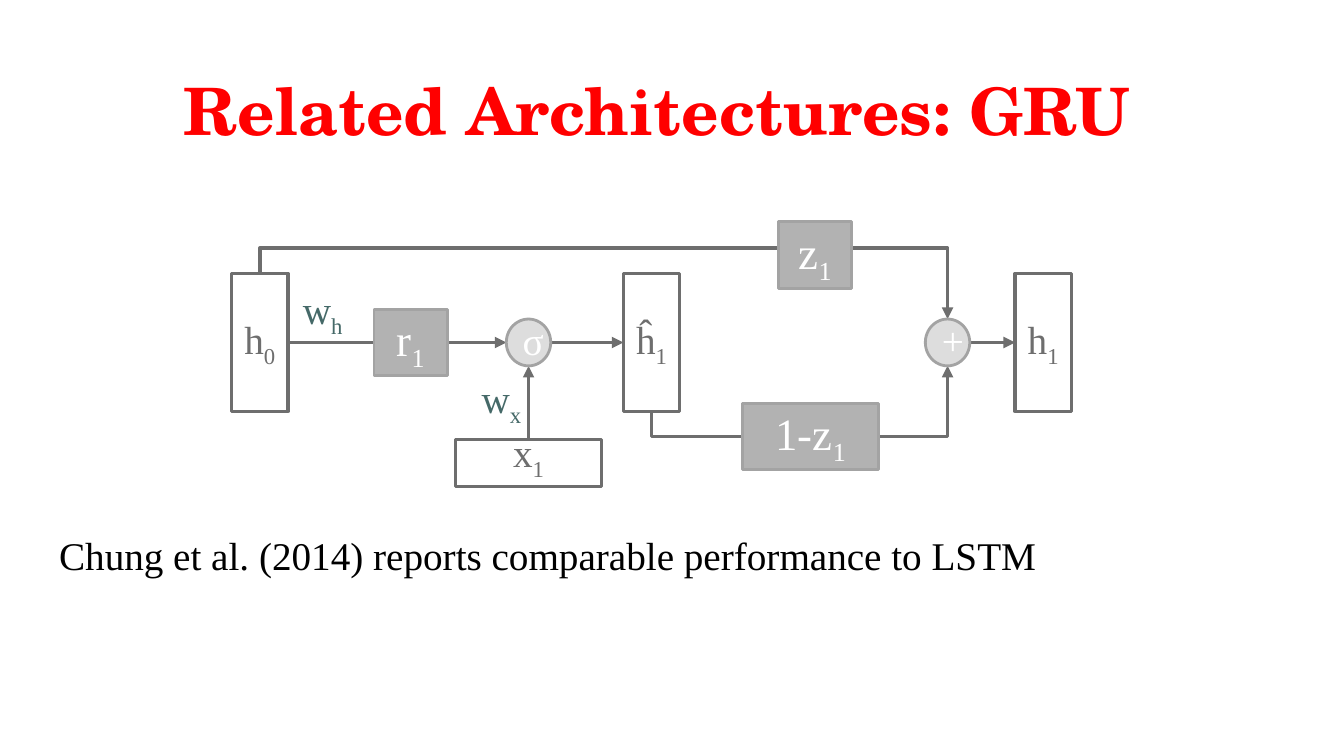
from dataclasses import dataclass

from pptx import Presentation
from pptx.dml.color import RGBColor
from pptx.enum.shapes import MSO_CONNECTOR, MSO_SHAPE
from pptx.enum.text import MSO_ANCHOR, PP_ALIGN
from pptx.oxml.ns import qn
from pptx.oxml.xmlchemy import OxmlElement
from pptx.util import Cm, Pt

RECT, OVAL = MSO_SHAPE.RECTANGLE, MSO_SHAPE.OVAL
LINE, ELBOW = MSO_CONNECTOR.STRAIGHT, MSO_CONNECTOR.ELBOW
TOP, MIDDLE, BOTTOM = MSO_ANCHOR.TOP, MSO_ANCHOR.MIDDLE, MSO_ANCHOR.BOTTOM
LEFT, CENTER = PP_ALIGN.LEFT, PP_ALIGN.CENTER

COLORS = {
    "title": "FF0000", "body": "000000", "weight": "456968",
    "white": "FFFFFF", "dark": "6E6E6E", "edge": "A3A3A3",
    "gate": "B2B2B2", "op": "DDDDDD",
}
SERIF, SCHOLA = "Times New Roman", "TeX Gyre Schola"


@dataclass
class Style:
    shape: int
    fill: str
    line: str
    weight: float
    ink: str
    size: float


@dataclass
class Node:
    style: Style
    x: float  # centre
    y: float
    w: float
    h: float
    text: str
    sub: str = ""
    anchor: int = MIDDLE


@dataclass
class Label:
    x: float
    y: float
    w: float
    h: float
    text: str
    sub: str = ""
    size: float = 28
    ink: str = "weight"
    font: str = SERIF
    bold: bool = False
    align: int = CENTER
    anchor: int = TOP


@dataclass
class Arrow:
    x1: float
    y1: float
    x2: float
    y2: float
    bent: bool = False


def color(name: str) -> RGBColor:
    return RGBColor.from_string(COLORS[name])


def write(frame, text: str, sub: str, size: float, ink: str,
          font: str = SERIF, bold: bool = False, align: int = CENTER) -> None:
    frame.word_wrap = True
    para = frame.paragraphs[0]
    para.text = text
    para.alignment = align
    if sub:
        low = para.add_run()
        low.text = sub
        low._r.get_or_add_rPr().set("baseline", "-25000")
    for run in para.runs:
        run.font.name, run.font.size = font, Pt(size)
        run.font.bold = bold
        run.font.color.rgb = color(ink)


def add_node(slide, node: Node) -> None:
    style = node.style
    shape = slide.shapes.add_shape(
        style.shape, Cm(node.x - node.w / 2), Cm(node.y - node.h / 2),
        Cm(node.w), Cm(node.h))
    shape.shadow.inherit = False
    shape.fill.solid()
    shape.fill.fore_color.rgb = color(style.fill)
    shape.line.color.rgb = color(style.line)
    shape.line.width = Pt(style.weight)
    frame = shape.text_frame
    frame.vertical_anchor = node.anchor
    if style.shape == OVAL:
        frame.margin_bottom = Cm(0.25)
    write(frame, node.text, node.sub, style.size, style.ink)


def add_label(slide, label: Label) -> None:
    box = slide.shapes.add_textbox(
        Cm(label.x), Cm(label.y), Cm(label.w), Cm(label.h))
    box.text_frame.vertical_anchor = label.anchor
    write(box.text_frame, label.text, label.sub, label.size, label.ink,
          label.font, label.bold, label.align)


def bend(link, arrow: Arrow) -> None:
    """Turn an elbow so it leaves vertically, away from its end."""
    wide, high = abs(arrow.y2 - arrow.y1), arrow.x2 - arrow.x1
    link.left = Cm((arrow.x1 + arrow.x2 - wide) / 2)
    link.top = Cm((arrow.y1 + arrow.y2 - high) / 2)
    link.width, link.height = Cm(wide), Cm(high)
    up = arrow.y2 > arrow.y1
    props = link._element.spPr
    frame = props.find(qn("a:xfrm"))
    frame.set("rot", str((270 if up else 90) * 60000))
    frame.set("flipH", "1")
    frame.set("flipV", "0" if up else "1")
    guides = props.find(qn("a:prstGeom")).get_or_add_avLst()
    guide = OxmlElement("a:gd")
    guide.set("name", "adj1")
    guide.set("fmla", "val -55000")
    guides.append(guide)


def add_arrow(slide, arrow: Arrow) -> None:
    link = slide.shapes.add_connector(
        ELBOW if arrow.bent else LINE,
        Cm(arrow.x1), Cm(arrow.y1), Cm(arrow.x2), Cm(arrow.y2))
    if arrow.bent:
        bend(link, arrow)
    link.line.color.rgb = color("dark")
    link.line.width = Pt(2.75)
    tip = OxmlElement("a:tailEnd")
    tip.set("type", "triangle")
    link.line._get_or_add_ln().append(tip)
    link._element.spPr.append(OxmlElement("a:effectLst"))


# Styles and grid
STATE = Style(RECT, "white", "dark", 2.25, "dark", 28)
GATE = Style(RECT, "gate", "edge", 2, "white", 32)
OP = Style(OVAL, "op", "edge", 2, "white", 28)

MID = 8.63
OLD, NEW, OUT = (6.55 + 9.87 * i for i in range(3))
SIGMA, PLUS = 13.32, 23.88
WIDE, TALL = 1.42, 3.48
RX, RY = 0.56, 0.59
SIDE, HEAD = WIDE / 2, TALL / 2
INPUT = 11.67

LABELS = [
    Label(0.94, 1.45, 31.24, 2.59, "Related Architectures: GRU", size=46.7,
          ink="title", font=SCHOLA, bold=True, anchor=MIDDLE),
    Label(11.71, 9.3, 1.85, 2.24, "w", "x"),
    Label(7.21, 7.06, 1.85, 2.24, "w", "h"),
    Label(1.24, 13.26, 30.48, 1.45,
          "Chung et al. (2014) reports comparable performance to LSTM",
          ink="body", align=LEFT),
]
ARROWS = [
    Arrow(OLD + SIDE, MID, SIGMA - RX, MID),
    Arrow(SIGMA, INPUT - 0.6, SIGMA, MID + RY),
    Arrow(SIGMA + RX, MID, NEW - SIDE, MID),
    Arrow(PLUS + RX, MID, OUT - SIDE, MID),
    Arrow(OLD, MID - HEAD, PLUS, MID - RY, bent=True),
    Arrow(NEW, MID + HEAD, PLUS, MID + RY, bent=True),
]
NODES = [
    Node(STATE, OLD, MID, WIDE, TALL, "h", "0"),
    Node(STATE, NEW, MID, WIDE, TALL, "ĥ", "1"),
    Node(STATE, OUT, MID, WIDE, TALL, "h", "1"),
    Node(STATE, SIGMA, INPUT, 3.68, 1.19, "x", "1", BOTTOM),
    Node(OP, SIGMA, MID, 2 * RX, 2 * RY, "σ"),
    Node(OP, PLUS, MID, 2 * RX, 2 * RY, "+"),
    Node(GATE, 10.35, MID, 1.85, 1.68, "r", "1"),
    Node(GATE, 20.54, 6.43, 1.85, 1.68, "z", "1"),
    Node(GATE, 20.43, 11, 3.43, 1.68, "1-z", "1"),
]

# Slide
deck = Presentation()
deck.slide_width, deck.slide_height = Cm(33.87), Cm(19.05)
slide = deck.slides.add_slide(deck.slide_layouts[6])
for label in LABELS:
    add_label(slide, label)
for arrow in ARROWS:
    add_arrow(slide, arrow)
for node in NODES:
    add_node(slide, node)
deck.save("out.pptx")
